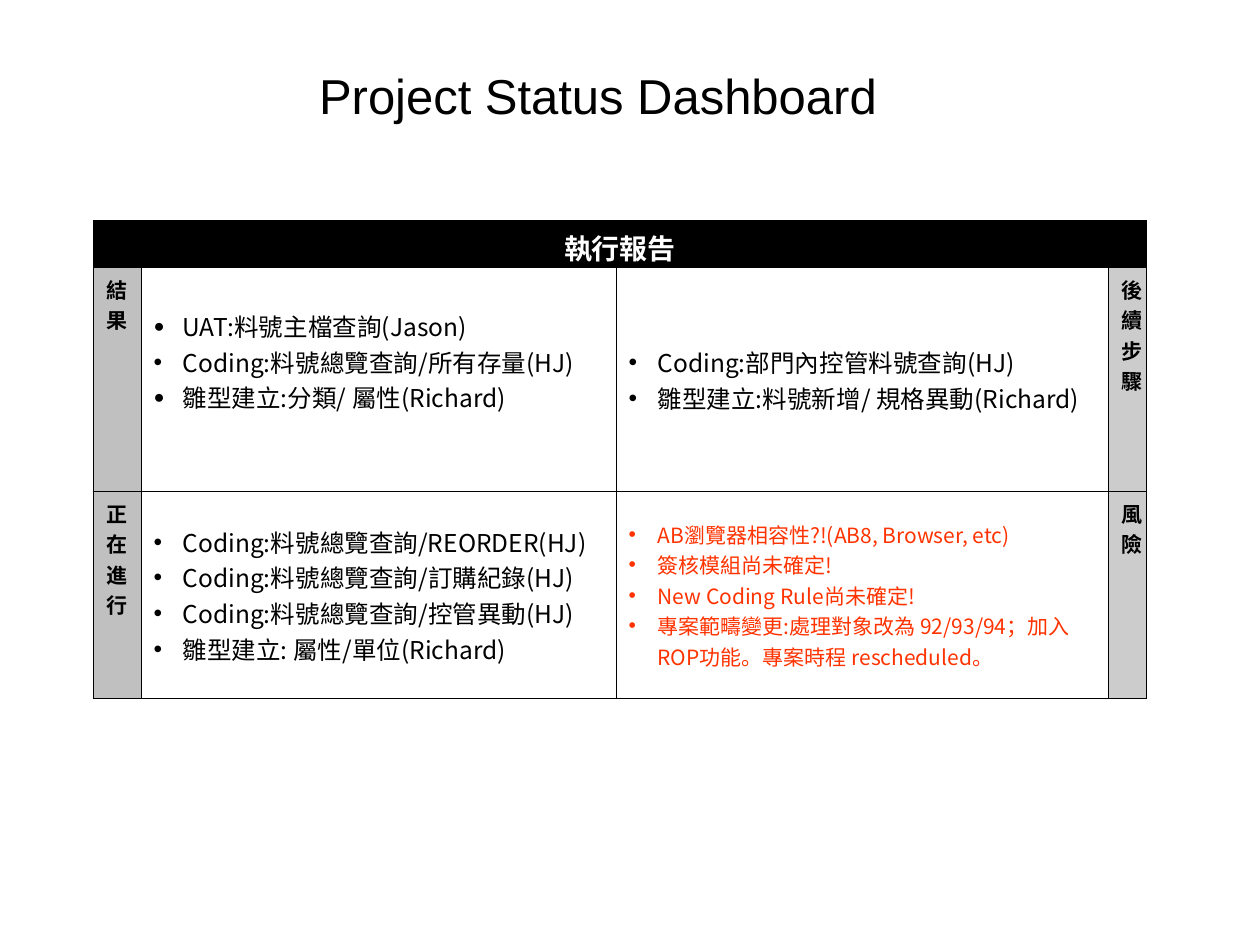
import pptx
import pptx.util
import pptx.dml.color
import pptx.enum.text
import pptx.oxml
import pptx.oxml.ns

COLORS = {"ink": "000000", "paper": "FFFFFF", "left": "C0C0C0",
          "right": "CCCCCC", "alert": "FF3300"}
CJK = "Noto Sans CJK TC"
COLUMNS = [0.38, 3.77, 3.91, 0.3]
ROWS = [0.37, 1.78, 1.64]
OUTER, INNER = 0.96, 0.45
ALIGN = pptx.enum.text.PP_ALIGN
ANCHOR = pptx.enum.text.MSO_ANCHOR

REPORT = [
    {"left": "結果", "right": "後續步驟", "size": 14, "color": "ink",
     "done": ["UAT:料號主檔查詢(Jason)",
              "Coding:料號總覽查詢/所有存量(HJ)",
              "雛型建立:分類/ 屬性(Richard)"],
     "done_bullets": "●•●", "lift": 0.29,
     "next": ["Coding:部門內控管料號查詢(HJ)",
              "雛型建立:料號新增/ 規格異動(Richard)"]},
    {"left": "正在進行", "right": "風險", "size": 12, "color": "alert",
     "done": ["Coding:料號總覽查詢/REORDER(HJ)",
              "Coding:料號總覽查詢/訂購紀錄(HJ)",
              "Coding:料號總覽查詢/控管異動(HJ)",
              "雛型建立: 屬性/單位(Richard)"],
     "done_bullets": "••••", "lift": 0,
     "next": ["AB瀏覽器相容性?!(AB8, Browser, etc)",
              "簽核模組尚未確定!",
              "New Coding Rule尚未確定!",
              "專案範疇變更:處理對象改為 92/93/94；加入 ROP功能。專案時程 rescheduled。"]},
]


def rgb(name):
    return pptx.dml.color.RGBColor.from_string(COLORS[name])


def add_xml(parent, xml):
    namespace = pptx.oxml.ns.nsdecls("a")
    parent.append(pptx.oxml.parse_xml(xml.replace(" ", f" {namespace} ", 1)))


def style_runs(paragraph, font_name, size, color, bold=False):
    for run in paragraph.runs:
        run.font.size = pptx.util.Pt(size)
        run.font.bold = bold
        run.font.color.rgb = rgb(color)
        run.font.name = font_name
        add_xml(run._r.get_or_add_rPr(), f'<a:ea typeface="{font_name}"/>')


def add_bullet(paragraph, mark, color):
    properties = paragraph._p.get_or_add_pPr()
    indent = pptx.util.Inches(0.23)
    properties.set("marL", str(indent))
    properties.set("indent", str(-indent))
    add_xml(properties, f'<a:buClr ><a:srgbClr val="{COLORS[color]}"/></a:buClr>')
    if mark == "●":
        add_xml(properties, '<a:buSzPct val="75000"/>')
    add_xml(properties, '<a:buFont typeface="Arial"/>')
    add_xml(properties, f'<a:buChar char="{mark}"/>')


def frame_cell(cell, row, column):
    edges = {"L": column == 0, "R": column == len(COLUMNS) - 1,
             "T": row == 0, "B": row == len(ROWS) - 1}
    properties = cell._tc.get_or_add_tcPr()
    for side, is_outer in edges.items():
        width = pptx.util.Pt(OUTER if is_outer else INNER)
        add_xml(properties, f'<a:ln{side} w="{width}"><a:solidFill>'
                f'<a:srgbClr val="{COLORS["ink"]}"/></a:solidFill></a:ln{side}>')


def fill_cell(cell, color):
    cell.fill.solid()
    cell.fill.fore_color.rgb = rgb(color)


def write_label(cell, text, size, color, background, align, anchor):
    fill_cell(cell, background)
    cell.vertical_anchor = anchor
    cell.text_frame.text = text
    label = cell.text_frame.paragraphs[0]
    label.alignment = align
    style_runs(label, CJK, size, color, bold=True)


def write_list(cell, items, bullets, size, color, lift=0):
    fill_cell(cell, "paper")
    cell.vertical_anchor = ANCHOR.MIDDLE
    cell.margin_bottom = pptx.util.Inches(0.05 + lift)
    cell.text_frame.text = "\n".join(items)
    for paragraph, mark in zip(cell.text_frame.paragraphs, bullets):
        add_bullet(paragraph, mark, color)
        style_runs(paragraph, CJK, size, color)


def add_title(slide, box):
    heading = slide.shapes.add_textbox(*box).text_frame
    heading.word_wrap = True
    heading.vertical_anchor = ANCHOR.MIDDLE
    heading.text = "Project Status Dashboard"
    heading.paragraphs[0].alignment = ALIGN.CENTER
    style_runs(heading.paragraphs[0], "Arial", 28, "ink")


def add_report(slide, box):
    report = slide.shapes.add_table(len(ROWS), len(COLUMNS), *box).table
    report.horz_banding = False
    report.first_row = False
    for column, share in zip(report.columns, COLUMNS):
        column.width = int(box[2] * share / sum(COLUMNS))
    for row, share in zip(report.rows, ROWS):
        row.height = int(box[3] * share / sum(ROWS))
    for row in range(len(ROWS)):
        for column in range(len(COLUMNS)):
            frame_cell(report.cell(row, column), row, column)

    banner = report.cell(0, 0)
    banner.merge(report.cell(0, len(COLUMNS) - 1))
    write_label(banner, "執行報告", 16, "paper", "ink", ALIGN.CENTER, ANCHOR.MIDDLE)
    for row, part in enumerate(REPORT, start=1):
        write_label(report.cell(row, 0), part["left"], 12, "ink", "left",
                    ALIGN.CENTER, ANCHOR.TOP)
        write_list(report.cell(row, 1), part["done"], part["done_bullets"],
                   14, "ink", part["lift"])
        write_list(report.cell(row, 2), part["next"], "•" * len(part["next"]),
                   part["size"], part["color"])
        write_label(report.cell(row, 3), part["right"], 12, "ink", "right",
                    ALIGN.LEFT, ANCHOR.TOP)


def main():
    deck = pptx.Presentation()
    deck.slide_width = pptx.util.Inches(10)
    deck.slide_height = pptx.util.Inches(7.5)
    slide = deck.slides.add_slide(deck.slide_layouts[6])

    def share_box(left, top, width, height):
        return (int(deck.slide_width * left / 100), int(deck.slide_height * top / 100),
                int(deck.slide_width * width / 100), int(deck.slide_height * height / 100))

    add_title(slide, share_box(5, 5.87, 84.9, 8.4))
    add_report(slide, share_box(7.4, 23.4, 83.6, 50.5))
    deck.save("out.pptx")


if __name__ == "__main__":
    main()
